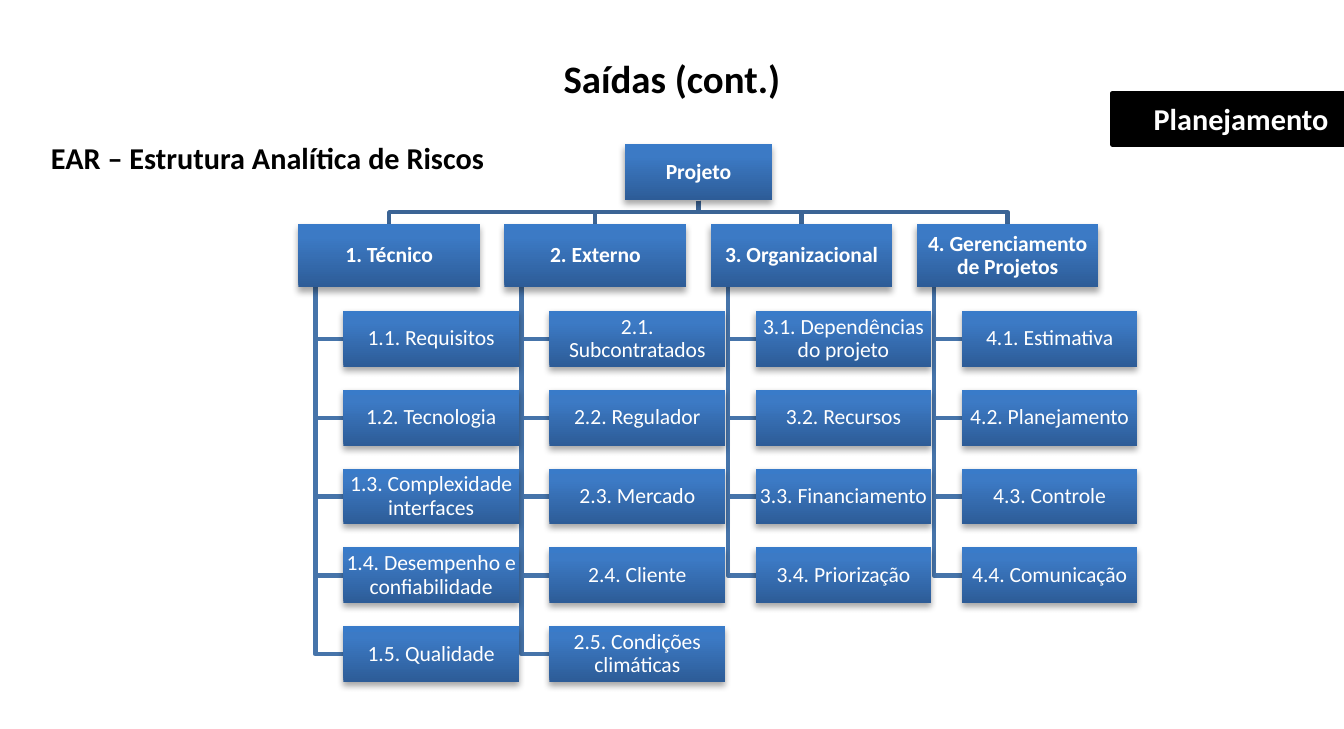
from copy import deepcopy

from lxml.etree import SubElement
from pptx import Presentation
from pptx.dml.color import RGBColor
from pptx.enum.shapes import MSO_SHAPE
from pptx.enum.text import MSO_ANCHOR, PP_ALIGN
from pptx.oxml.ns import qn
from pptx.util import Inches, Pt

SLIDE_W, SLIDE_H = 8.65, 4.69
FONT = "Calibri"
BOX_GRADIENT = [(0, "2D5C97"), (0.8, "3C7AC5"), (1, "397BC9")]
TRUNK_COLOR, BRANCH_COLOR = "3B6495", "4674AA"

# Chart grid: one column per category, one row per risk
FIRST_COLUMN, COLUMN_STEP = 1.92, 3.98 / 3
FIRST_ROW, ROW_STEP = 2.0, 2.03 / 4
PROJECT = (4.02, 0.93, 0.95, 0.36)
CATEGORY_TOP, CATEGORY_W, CATEGORY_H = 1.44, 1.17, 0.41
RISK_INDENT, RISK_W, RISK_H = 0.29, 1.13, 0.36
STEM_INDENT = 0.11

CATEGORIES = [
    ("1. Técnico", [
        "1.1. Requisitos", "1.2. Tecnologia", "1.3. Complexidade interfaces",
        "1.4. Desempenho e confiabilidade", "1.5. Qualidade"]),
    ("2. Externo", [
        "2.1. Subcontratados", "2.2. Regulador", "2.3. Mercado",
        "2.4. Cliente", "2.5. Condições climáticas"]),
    ("3. Organizacional", [
        "3.1. Dependências do projeto", "3.2. Recursos",
        "3.3. Financiamento", "3.4. Priorização"]),
    ("4. Gerenciamento de Projetos", [
        "4.1. Estimativa", "4.2. Planejamento", "4.3. Controle",
        "4.4. Comunicação"]),
]


def rgb(color):
    return RGBColor.from_string(color)


def write(shape, text, size, color, align, bold=True):
    frame = shape.text_frame
    frame.word_wrap = True
    frame.text = text
    paragraph = frame.paragraphs[0]
    paragraph.alignment = align
    font = paragraph.runs[0].font
    font.name, font.size, font.bold = FONT, Pt(size), bold
    font.color.rgb = rgb(color)


def add_heading(slide, text, bounds, size, align):
    heading = slide.shapes.add_textbox(*map(Inches, bounds))
    write(heading, text, size, "000000", align)


def add_rectangle(slide, bounds):
    rectangle = slide.shapes.add_shape(MSO_SHAPE.RECTANGLE, *map(Inches, bounds))
    rectangle.shadow.inherit = False
    rectangle.text_frame.vertical_anchor = MSO_ANCHOR.MIDDLE
    return rectangle


def add_phase_tag(slide, text):
    tag = add_rectangle(slide, (7.16, 0.6, SLIDE_W - 7.16, 0.33))
    tag.fill.solid()
    tag.fill.fore_color.rgb = rgb("000000")
    tag.line.color.rgb = rgb("000000")
    tag.line.width = Pt(2)
    write(tag, text, 14, "FFFFFF", PP_ALIGN.RIGHT)


def fill_gradient(shape):
    shape.fill.gradient()
    shape.fill.gradient_angle = 90
    stop_list = shape._element.spPr.find(".//" + qn("a:gsLst"))
    stop_list.insert(1, deepcopy(stop_list[0]))
    for stop, (position, color) in zip(shape.fill.gradient_stops, BOX_GRADIENT):
        stop.position = position
        stop.color.rgb = rgb(color)


def drop_shadow(shape):
    effects = shape._element.spPr.find(qn("a:effectLst"))
    shadow = SubElement(effects, qn("a:outerShdw"), blurRad=str(Pt(3.1)),
                        dist=str(Pt(1.8)), dir="5400000", rotWithShape="0")
    color = SubElement(shadow, qn("a:srgbClr"), val="000000")
    SubElement(color, qn("a:alpha"), val="35000")


def add_box(slide, text, bounds, bold=True):
    box = add_rectangle(slide, bounds)
    fill_gradient(box)
    drop_shadow(box)
    box.line.fill.background()
    frame = box.text_frame
    frame.margin_left = frame.margin_right = Inches(0.01)
    frame.margin_top = frame.margin_bottom = Inches(0.01)
    write(box, text, 10, "FFFFFF", PP_ALIGN.CENTER, bold)
    frame.paragraphs[0].line_spacing = 0.9


def add_elbow(slide, points, color):
    start, *corners = [(Inches(x), Inches(y)) for x, y in points]
    builder = slide.shapes.build_freeform(*start)
    builder.add_line_segments(corners, close=False)
    elbow = builder.convert_to_shape()
    elbow.shadow.inherit = False
    elbow.fill.background()
    elbow.line.color.rgb = rgb(color)
    elbow.line.width = Pt(2)


def column_left(column):
    return FIRST_COLUMN + column * COLUMN_STEP


def row_top(row):
    return FIRST_ROW + row * ROW_STEP


def add_lines(slide, column, risk_count):
    """Draw the lines from the project to a category and on to its risks."""
    left = column_left(column)
    project_x, project_bottom = PROJECT[0] + PROJECT[2] / 2, PROJECT[1] + PROJECT[3]
    category_x = left + CATEGORY_W / 2
    stem_x, stem_top = left + STEM_INDENT, CATEGORY_TOP + CATEGORY_H
    middle = (project_bottom + CATEGORY_TOP) / 2
    for row in reversed(range(risk_count)):
        risk_y = row_top(row) + RISK_H / 2
        add_elbow(slide, [(stem_x, stem_top), (stem_x, risk_y),
                          (left + RISK_INDENT, risk_y)], BRANCH_COLOR)
    add_elbow(slide, [(project_x, project_bottom), (project_x, middle),
                      (category_x, middle), (category_x, CATEGORY_TOP)], TRUNK_COLOR)


def add_category(slide, column, category, risks):
    left = column_left(column)
    add_box(slide, category, (left, CATEGORY_TOP, CATEGORY_W, CATEGORY_H))
    for row, risk in enumerate(risks):
        add_box(slide, risk, (left + RISK_INDENT, row_top(row), RISK_W, RISK_H), bold=False)


def main():
    deck = Presentation()
    deck.slide_width, deck.slide_height = Inches(SLIDE_W), Inches(SLIDE_H)
    slide = deck.slides.add_slide(deck.slide_layouts[6])

    add_heading(slide, "Saídas (cont.)", (0, 0.3, SLIDE_W, 0.4), 18, PP_ALIGN.CENTER)
    add_phase_tag(slide, "Planejamento")
    for column, (_, risks) in reversed(list(enumerate(CATEGORIES))):
        add_lines(slide, column, len(risks))
    add_box(slide, "Projeto", PROJECT)
    for column, (category, risks) in enumerate(CATEGORIES):
        add_category(slide, column, category, risks)
    add_heading(slide, "EAR – Estrutura Analítica de Riscos",
                (0.23, 0.85, 3.46, 0.34), 14, PP_ALIGN.LEFT)

    deck.save("out.pptx")


if __name__ == "__main__":
    main()
